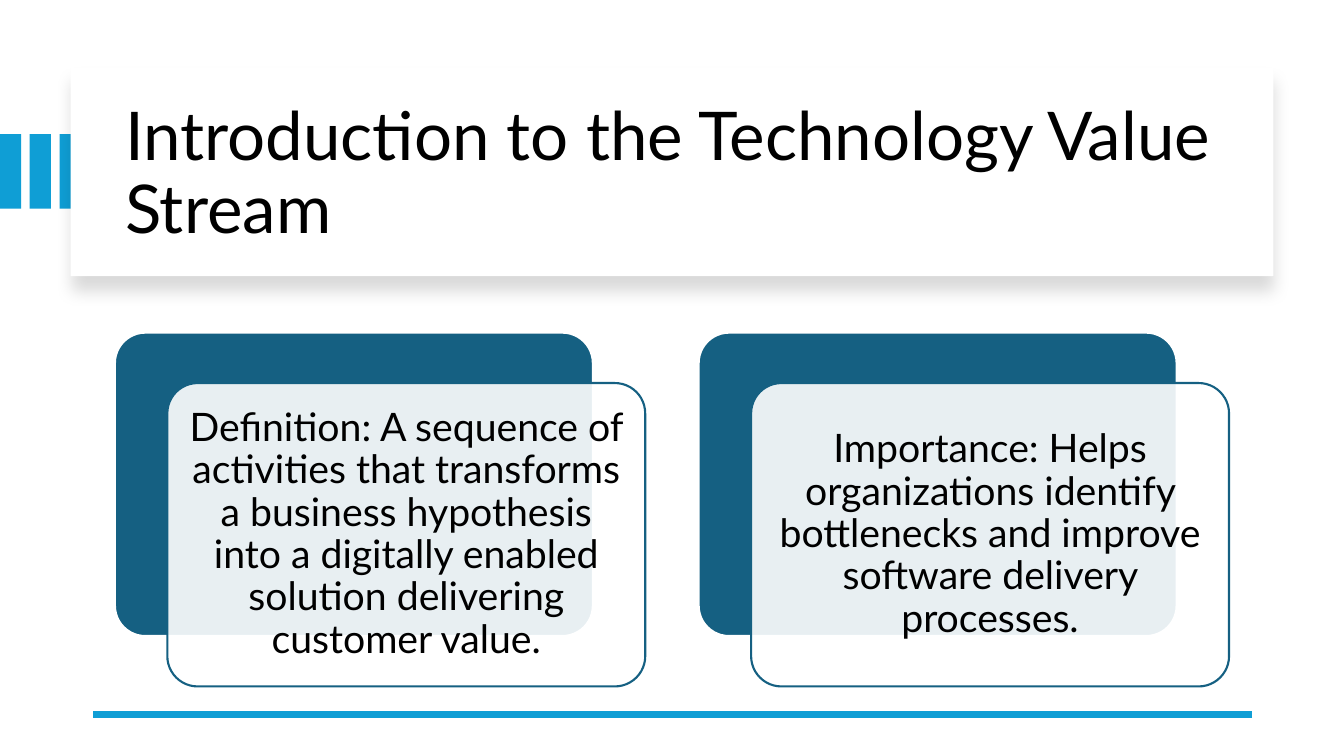
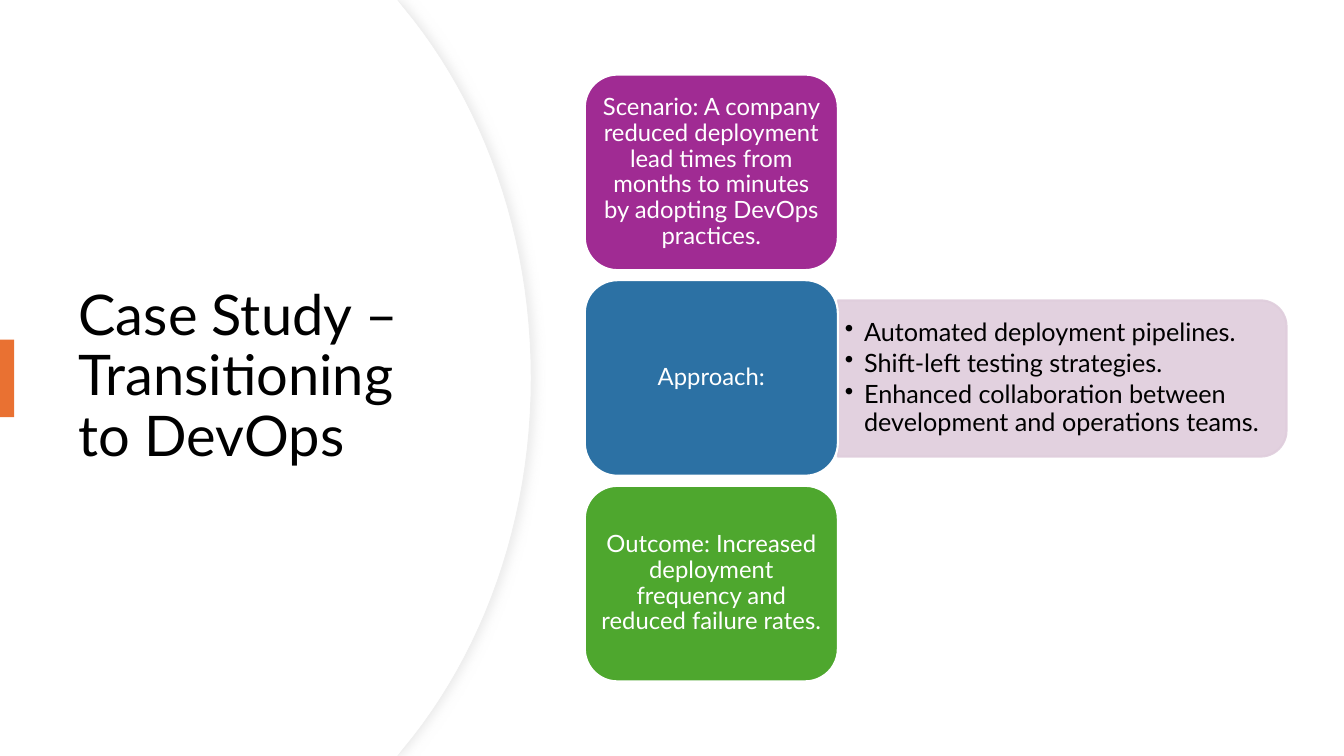
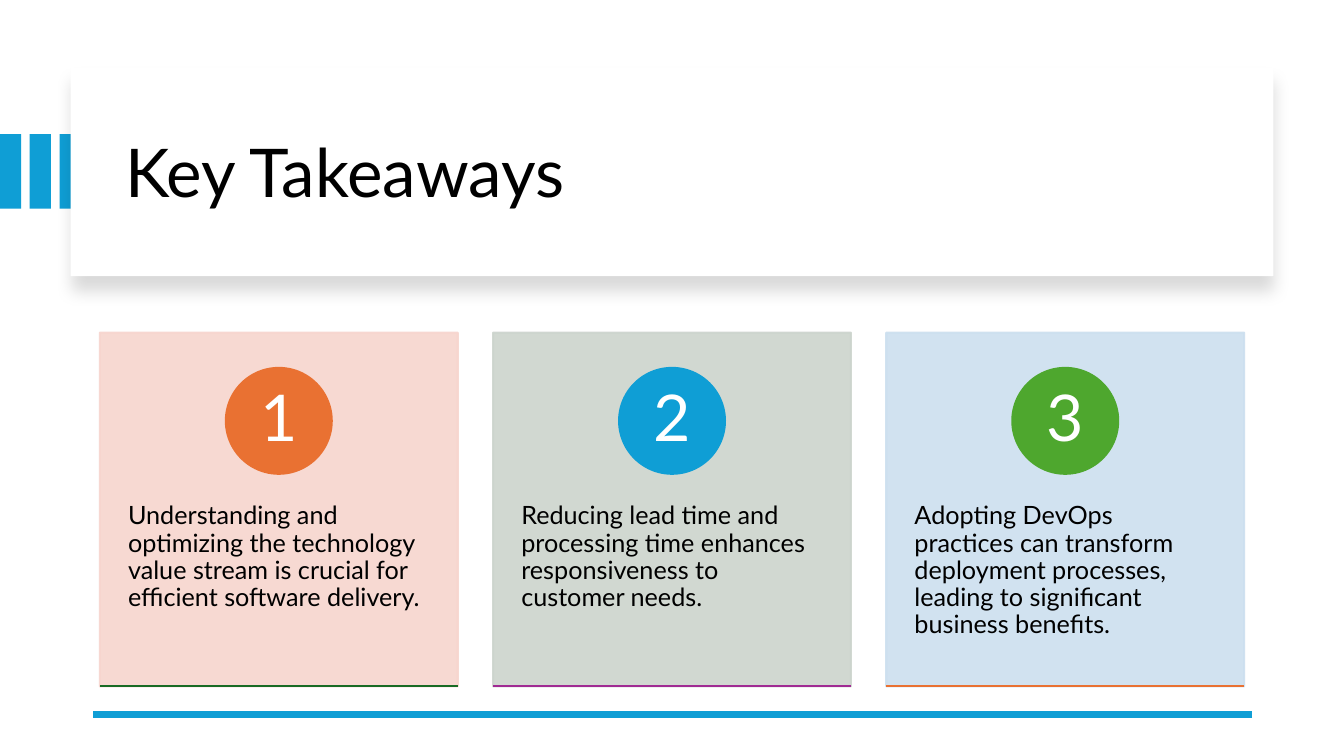
from lxml import etree
from pptx import Presentation
from pptx.dml.color import RGBColor
from pptx.enum.shapes import MSO_CONNECTOR, MSO_SHAPE
from pptx.enum.text import MSO_ANCHOR, MSO_AUTO_SIZE, PP_ALIGN
from pptx.oxml.ns import qn
from pptx.util import Inches, Pt

RECTANGLE = MSO_SHAPE.RECTANGLE
ROUNDED = MSO_SHAPE.ROUNDED_RECTANGLE
SIDE_TAB = MSO_SHAPE.ROUND_2_SAME_RECTANGLE
OVAL = MSO_SHAPE.OVAL
STRAIGHT = MSO_CONNECTOR.STRAIGHT
LEFT, CENTER = PP_ALIGN.LEFT, PP_ALIGN.CENTER
TOP, MIDDLE = MSO_ANCHOR.TOP, MSO_ANCHOR.MIDDLE

FONT = "Lato"
BLACK = RGBColor(0x00, 0x00, 0x00)
WHITE = RGBColor(0xFF, 0xFF, 0xFF)
SKY = RGBColor(0x0F, 0x9E, 0xD5)
TEAL = RGBColor(0x15, 0x60, 0x82)
BLUE = RGBColor(0x2C, 0x71, 0xA4)
ORANGE = RGBColor(0xE9, 0x71, 0x32)
PURPLE = RGBColor(0xA0, 0x2B, 0x93)
GREEN = RGBColor(0x4E, 0xA7, 0x2E)
DARK_GREEN = RGBColor(0x19, 0x6B, 0x24)
MAUVE = RGBColor(0xDF, 0xCD, 0xDC)
PALE_RED = RGBColor(0xF7, 0xD5, 0xCE)
PALE_GREEN = RGBColor(0xCC, 0xD4, 0xCD)
PALE_BLUE = RGBColor(0xCC, 0xDF, 0xEF)
EDGE_GRAY = RGBColor(0xEF, 0xEF, 0xEF)
SHADOW_GRAY = RGBColor(0xD9, 0xD9, 0xD9)

SLIDE_HEIGHT = 7.5
CARD_LINE = 1.5

DEFINITION = ("Definition: A sequence of activities that transforms a business hypothesis "
              "into a digitally enabled solution delivering customer value.")
IMPORTANCE = ("Importance: Helps organizations identify bottlenecks and improve "
              "software delivery processes.")
STAGES = [
    ("Scenario: A company reduced deployment lead times from months to minutes "
     "by adopting DevOps practices.", PURPLE),
    ("Approach:", BLUE),
    ("Outcome: Increased deployment frequency and reduced failure rates.", GREEN),
]
APPROACH_POINTS = [
    "Automated deployment pipelines.",
    "Shift-left testing strategies.",
    "Enhanced collaboration between development and operations teams.",
]
TAKEAWAYS = [
    ("Understanding and optimizing the technology value stream is crucial for "
     "efficient software delivery.", PALE_RED, ORANGE, DARK_GREEN),
    ("Reducing lead time and processing time enhances responsiveness to customer needs.",
     PALE_GREEN, SKY, PURPLE),
    ("Adopting DevOps practices can transform deployment processes, leading to "
     "significant business benefits.", PALE_BLUE, GREEN, ORANGE),
]


# Formatting helpers
def set_alpha(shape, fill_path, percent):
    color = shape.element.spPr.find(f"{fill_path}/{qn('a:srgbClr')}")
    etree.SubElement(color, qn("a:alpha"), val=str(percent * 1000))


def paint(shape, fill, line=None, line_width=CARD_LINE, fill_alpha=100, line_alpha=100):
    shape.shadow.inherit = False
    shape.fill.solid()
    shape.fill.fore_color.rgb = fill
    if line is None:
        shape.line.fill.background()
    else:
        shape.line.color.rgb = line
        shape.line.width = Pt(line_width)
    if fill_alpha < 100:
        set_alpha(shape, qn("a:solidFill"), fill_alpha)
    if line_alpha < 100:
        set_alpha(shape, f"{qn('a:ln')}/{qn('a:solidFill')}", line_alpha)


def cast_shadow(shape, color, alpha, blur, distance, angle):
    effects = shape.element.spPr.find(qn("a:effectLst"))
    shadow = etree.SubElement(
        effects, qn("a:outerShdw"), blurRad=str(Pt(blur)), dist=str(Pt(distance)),
        dir=str(angle * 60000), algn="ctr", rotWithShape="0")
    shadow_color = etree.SubElement(shadow, qn("a:srgbClr"), val=str(color))
    etree.SubElement(shadow_color, qn("a:alpha"), val=str(alpha * 1000))


def add_bullet(paragraph, indent):
    properties = paragraph._p.get_or_add_pPr()
    properties.set("marL", str(Inches(indent)))
    properties.set("indent", str(-Inches(indent)))
    etree.SubElement(properties, qn("a:buChar"), char="•")


def write(shape, lines, size, color=BLACK, align=CENTER, anchor=MIDDLE,
          margins=(0.1, 0.05, 0.1, 0.05), bullets=False):
    frame = shape.text_frame
    frame.word_wrap = True
    frame.auto_size = MSO_AUTO_SIZE.NONE
    frame.vertical_anchor = anchor
    (frame.margin_left, frame.margin_top,
     frame.margin_right, frame.margin_bottom) = map(Inches, margins)
    frame.text = "\n".join(lines)
    for paragraph in frame.paragraphs:
        if bullets:
            add_bullet(paragraph, 0.19)
            paragraph.space_after = Pt(3)
        paragraph.alignment = align
        paragraph.line_spacing = 0.9
        paragraph.font.name = FONT
        paragraph.font.size = Pt(size)
        paragraph.font.color.rgb = color


# Element builders
def add_box(slide, kind, left, top, width, height, fill, **style):
    shape = slide.shapes.add_shape(
        kind, Inches(left), Inches(top), Inches(width), Inches(height))
    paint(shape, fill, **style)
    return shape


def add_rule(slide, start, end, y, color, width):
    rule = slide.shapes.add_connector(STRAIGHT, Inches(start), Inches(y), Inches(end), Inches(y))
    rule.line.color.rgb = color
    rule.line.width = Pt(width)
    etree.SubElement(rule.element.spPr, qn("a:effectLst"))


def place_title(slide, text, left, top, width, height, size):
    title = slide.shapes.title
    title.left, title.top = Inches(left), Inches(top)
    title.width, title.height = Inches(width), Inches(height)
    write(title, [text], size, align=LEFT)
    # Bring the title in front of the decoration drawn so far
    title.element.getparent().append(title.element)


def add_slide(presentation):
    return presentation.slides.add_slide(presentation.slide_layouts[5])


def add_banner_slide(presentation, title):
    slide = add_slide(presentation)
    for index in range(3):
        add_box(slide, RECTANGLE, index * 0.295, 1.33, 0.21, 0.74, SKY)
    panel = add_box(slide, RECTANGLE, 0.7, 0.67, 11.93, 2.07, WHITE)
    cast_shadow(panel, BLACK, 15, 11, 10, 90)
    place_title(slide, title, 1.14, 0.89, 11.13, 1.7, 48)
    add_rule(slide, 12.42, 0.92, 7.09, SKY, 4.5)
    return slide


def bezier(points, steps=24):
    for step in range(1, steps + 1):
        t = step / steps
        weights = ((1 - t) ** 3, 3 * t * (1 - t) ** 2, 3 * t ** 2 * (1 - t), t ** 3)
        yield tuple(sum(w * p[axis] for w, p in zip(weights, points)) for axis in (0, 1))


def add_curved_panel(slide, bulge, **style):
    """White panel whose right side swells out to the bulge position."""
    shoulder, control = bulge - 1.26, bulge - 0.48
    upper = [(shoulder, 0.08), (control, 1.02), (bulge, 2.32), (bulge, SLIDE_HEIGHT / 2)]
    lower = [(x, SLIDE_HEIGHT - y) for x, y in reversed(upper)]
    outline = [(3.94, 0), upper[0], *bezier(upper), *bezier(lower),
               (3.94, SLIDE_HEIGHT), (0, SLIDE_HEIGHT)]
    builder = slide.shapes.build_freeform(0, 0)
    builder.add_line_segments([(Inches(x), Inches(y)) for x, y in outline], close=True)
    panel = builder.convert_to_shape()
    paint(panel, WHITE, **style)
    return panel


def add_layered_card(slide, left, text):
    size = (4.74, 3.01)
    back = add_box(slide, ROUNDED, left, 3.3, *size, TEAL, line=WHITE)
    front = add_box(slide, ROUNDED, left + 0.52, 3.8, *size, WHITE, line=TEAL, fill_alpha=90)
    for card in (back, front):
        card.adjustments[0] = 0.1
    write(front, [text], 28, margins=(0.12,) * 4)


def add_number_card(slide, left, number, text, fill, badge_color, base_color):
    top, width, height, badge_size = 3.3, 3.55, 3.51, 1.05
    card = add_box(slide, RECTANGLE, left, top, width, height, fill,
                   line=fill, fill_alpha=90, line_alpha=90)
    write(card, [text], 18, align=LEFT, anchor=TOP, margins=(0.28, 1.69, 0.28, 0.36))
    badge = add_box(slide, OVAL, left + (width - badge_size) / 2, top + 0.35,
                    badge_size, badge_size, badge_color, line=badge_color)
    write(badge, [str(number)], 46, WHITE, margins=(0.08, 0.01, 0.08, 0.01))
    add_rule(slide, left, left + width, top + height, base_color, CARD_LINE)


# Slides
def build_introduction(presentation):
    slide = add_banner_slide(presentation, "Introduction to the Technology Value Stream")
    for index, text in enumerate((DEFINITION, IMPORTANCE)):
        add_layered_card(slide, 1.14 + index * 5.79, text)


def build_case_study(presentation):
    slide = add_slide(presentation)
    outer = add_curved_panel(slide, 5.27, line=EDGE_GRAY, line_width=0.75)
    cast_shadow(outer, SHADOW_GRAY, 50, 7, 3, 0)
    add_curved_panel(slide, 5.26)
    place_title(slide, "Case Study – Transitioning to DevOps", 0.68, 1.27, 3.94, 4.95, 40)
    add_box(slide, RECTANGLE, 0, 3.37, 0.14, 0.77, ORANGE)

    # Detail panel beside the middle stage
    margins = (0.07, 0.04, 0.07, 0.04)
    detail = add_box(slide, SIDE_TAB, 9.76, 1.53, 1.55, 4.45, MAUVE,
                     line=MAUVE, fill_alpha=90, line_alpha=90)
    detail.rotation = 90
    points = slide.shapes.add_textbox(Inches(8.31), Inches(3.05), Inches(4.38), Inches(1.4))
    write(points, APPROACH_POINTS, 18, align=LEFT, margins=margins, bullets=True)

    for index, (text, color) in enumerate(STAGES):
        stage = add_box(slide, ROUNDED, 5.8, 0.74 + index * 2.04, 2.51, 1.94, color, line=WHITE)
        write(stage, [text], 17, WHITE, margins=margins)


def build_takeaways(presentation):
    slide = add_banner_slide(presentation, "Key Takeaways")
    for index, takeaway in enumerate(TAKEAWAYS):
        add_number_card(slide, 0.99 + index * 3.9, index + 1, *takeaway)


def main():
    presentation = Presentation()
    presentation.slide_width = Inches(13.33)
    presentation.slide_height = Inches(SLIDE_HEIGHT)
    build_introduction(presentation)
    build_case_study(presentation)
    build_takeaways(presentation)
    presentation.save("out.pptx")


if __name__ == "__main__":
    main()
